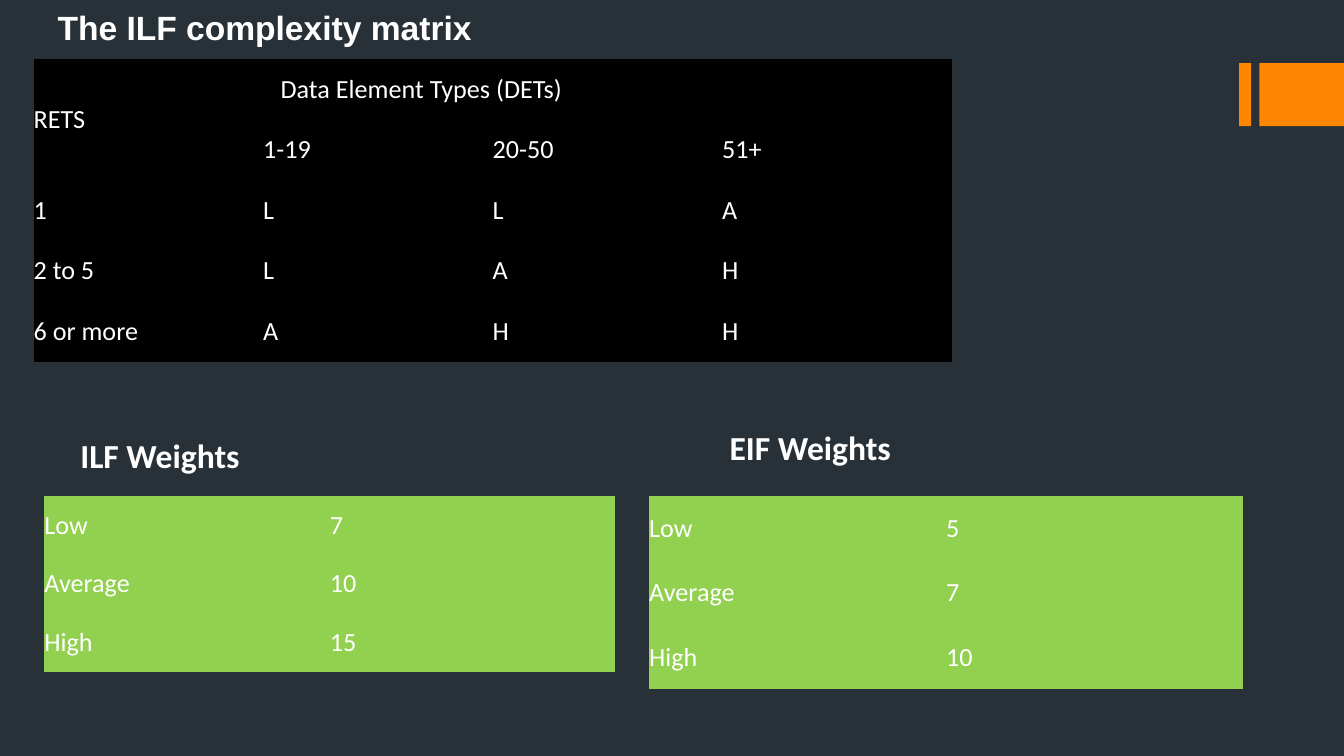
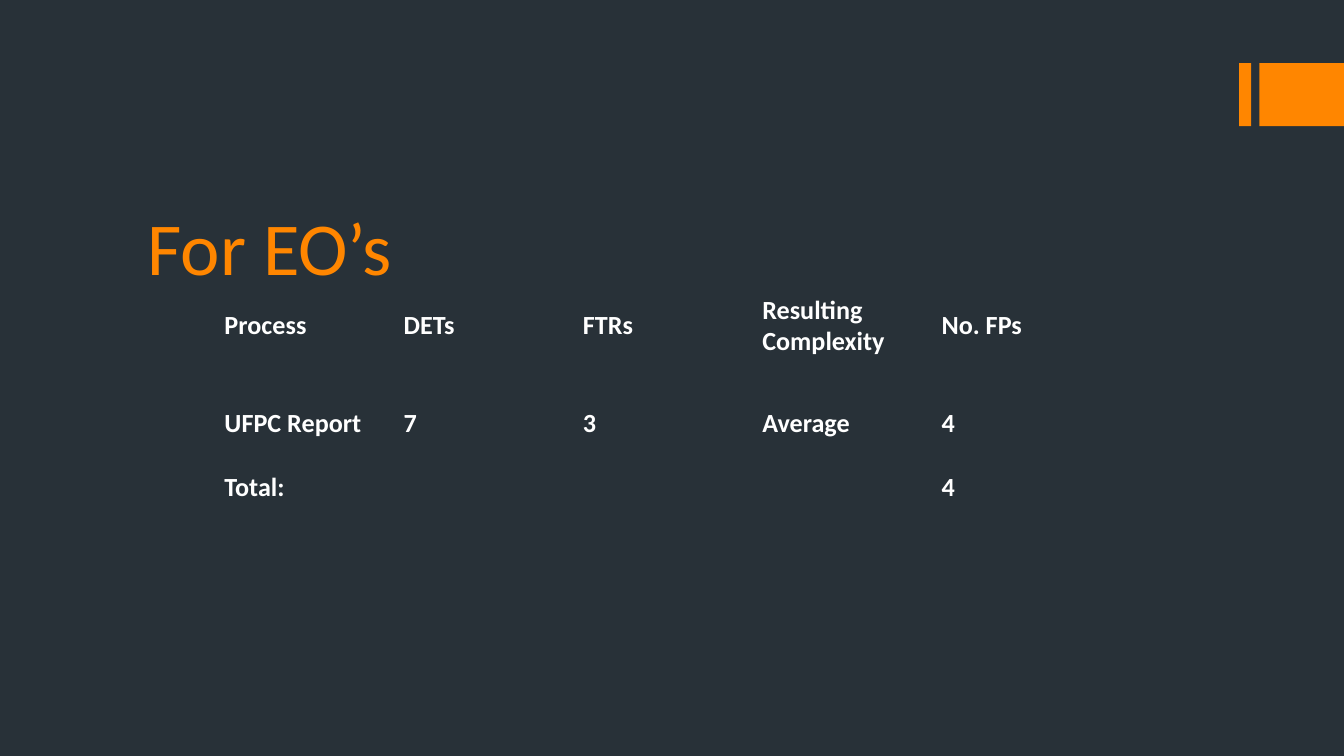
from copy import deepcopy

from pptx import Presentation
from pptx.dml.color import RGBColor
from pptx.enum.shapes import MSO_SHAPE
from pptx.enum.text import MSO_ANCHOR
from pptx.oxml.ns import qn
from pptx.util import Inches, Pt

RECT = MSO_SHAPE.RECTANGLE
TOP, MIDDLE, BOTTOM = MSO_ANCHOR.TOP, MSO_ANCHOR.MIDDLE, MSO_ANCHOR.BOTTOM
BACKGROUND, ORANGE, WHITE, BLACK, GREEN = "283138", "FF8600", "FFFFFF", "000000", "92D050"
NO_STYLE = "{2D5ABB26-0587-4C30-8999-92F81FD0307C}"


def color(value):
    return RGBColor.from_string(value)


def write(tf, text, size=14, font="Calibri", fill=WHITE, bold=False):
    p = tf.paragraphs[0]
    p.text = text
    for r in p.runs:
        r.font.size = Pt(size)
        r.font.name = font
        r.font.bold = bold
        r.font.color.rgb = color(fill)
    for br in p._p.findall(qn("a:br")):
        br.append(deepcopy(p.runs[0]._r.rPr))


def add_text(slide, box, text, anchor=TOP, **style):
    tf = slide.shapes.add_textbox(*map(Inches, box)).text_frame
    tf.word_wrap = True
    tf.vertical_anchor = anchor
    write(tf, text, **style)


def add_table(slide, box, rows, heights=None, fill=None, merges=(), bold=False):
    left, top, width, height = box
    n_rows, n_cols = len(rows), len(rows[0])
    table = slide.shapes.add_table(n_rows, n_cols, *map(Inches, box)).table
    table._tbl.tblPr.find(qn("a:tableStyleId")).text = NO_STYLE
    table.first_row = table.horz_banding = False
    for col in table.columns:
        col.width = Inches(width / n_cols)
    for row, h in zip(table.rows, heights or [height / n_rows] * n_rows):
        row.height = Inches(h)
    for i, values in enumerate(rows):
        for j, value in enumerate(values):
            cell = table.cell(i, j)
            cell.margin_left = cell.margin_right = cell.margin_top = cell.margin_bottom = 0
            cell.vertical_anchor = MIDDLE
            if fill:
                cell.fill.solid()
                cell.fill.fore_color.rgb = color(fill)
            else:
                cell.fill.background()
            write(cell.text_frame, value, bold=bold)
    for first, last in merges:
        table.cell(*first).merge(table.cell(*last))
    return table


def add_base(prs):
    slide = prs.slides.add_slide(prs.slide_layouts[6])
    slide.background.fill.solid()
    slide.background.fill.fore_color.rgb = color(BACKGROUND)
    for left, width in ((9.22, 0.09), (9.37, 0.63)):
        sp = slide.shapes.add_shape(RECT, *map(Inches, (left, 0.47, width, 0.47)))
        sp.shadow.inherit = False
        sp.fill.solid()
        sp.fill.fore_color.rgb = color(ORANGE)
        sp.line.fill.background()
    return slide


def add_weights(slide, title, title_box, table_box, weights):
    add_table(slide, table_box, list(zip(("Low", "Average", "High"), weights)), fill=GREEN)
    add_text(slide, title_box, title, size=18, bold=True)


def matrix_slide(prs):
    slide = add_base(prs)
    rows = [
        ("RETS", "Data Element Types (DETs)", "", ""),
        ("", "1-19", "20-50", "51+"),
        ("1", "L", "L", "A"),
        ("2 to 5", "L", "A", "H"),
        ("6 or more", "A", "H", "H"),
    ]
    matrix = add_table(slide, (0.25, 0.44, 6.83, 2.25), rows, fill=BLACK,
                       merges=[((0, 0), (1, 0)), ((0, 1), (0, 3))])
    matrix.cell(0, 1).margin_left = Inches(0.13)
    add_text(slide, (0.33, 0, 4.75, 0.4), "The ILF complexity matrix",
             size=18, font="Arial", bold=True)
    add_weights(slide, "ILF Weights", (0.5, 3.19, 3.33, 0.4),
                (0.33, 3.69, 4.25, 1.31), ("7", "10", "15"))
    add_weights(slide, "EIF Weights", (5.33, 3.13, 2.83, 0.4),
                (4.83, 3.69, 4.42, 1.44), ("5", "7", "10"))


def outputs_slide(prs):
    slide = add_base(prs)
    add_text(slide, (1, 1.26, 8, 0.95), "For EO’s", anchor=BOTTOM, size=40, fill=ORANGE)
    rows = [
        ("Process", "DETs", "FTRs", "Resulting\nComplexity", "No. FPs"),
        ("UFPC Report", "7", "3", "Average", "4"),
        ("Total:", "", "", "", "4"),
    ]
    add_table(slide, (1.67, 1.94, 6.67, 1.94), rows, heights=(0.97, 0.48, 0.48),
              merges=[((2, 0), (2, 3))], bold=True)


def main():
    prs = Presentation()
    prs.slide_width = Inches(10)
    prs.slide_height = prs.slide_width * 9 // 16
    matrix_slide(prs)
    outputs_slide(prs)
    prs.save("out.pptx")


if __name__ == "__main__":
    main()
